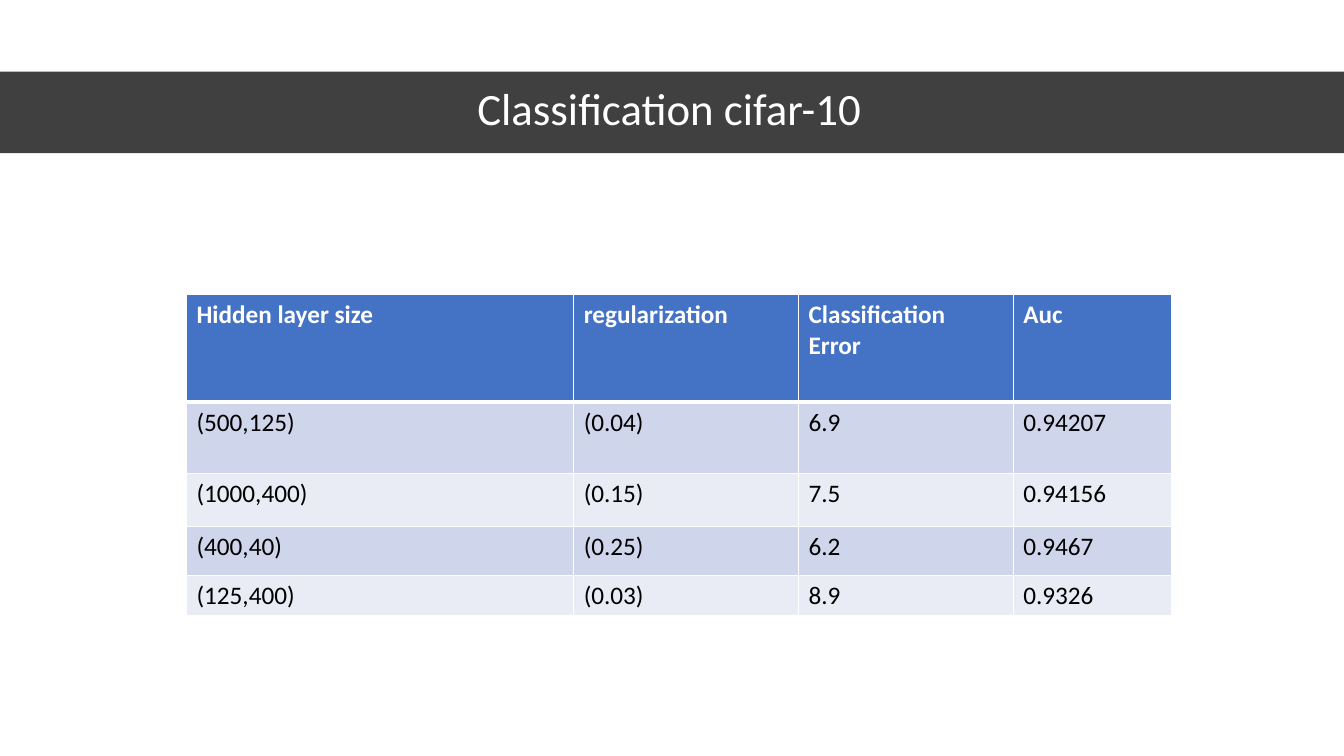
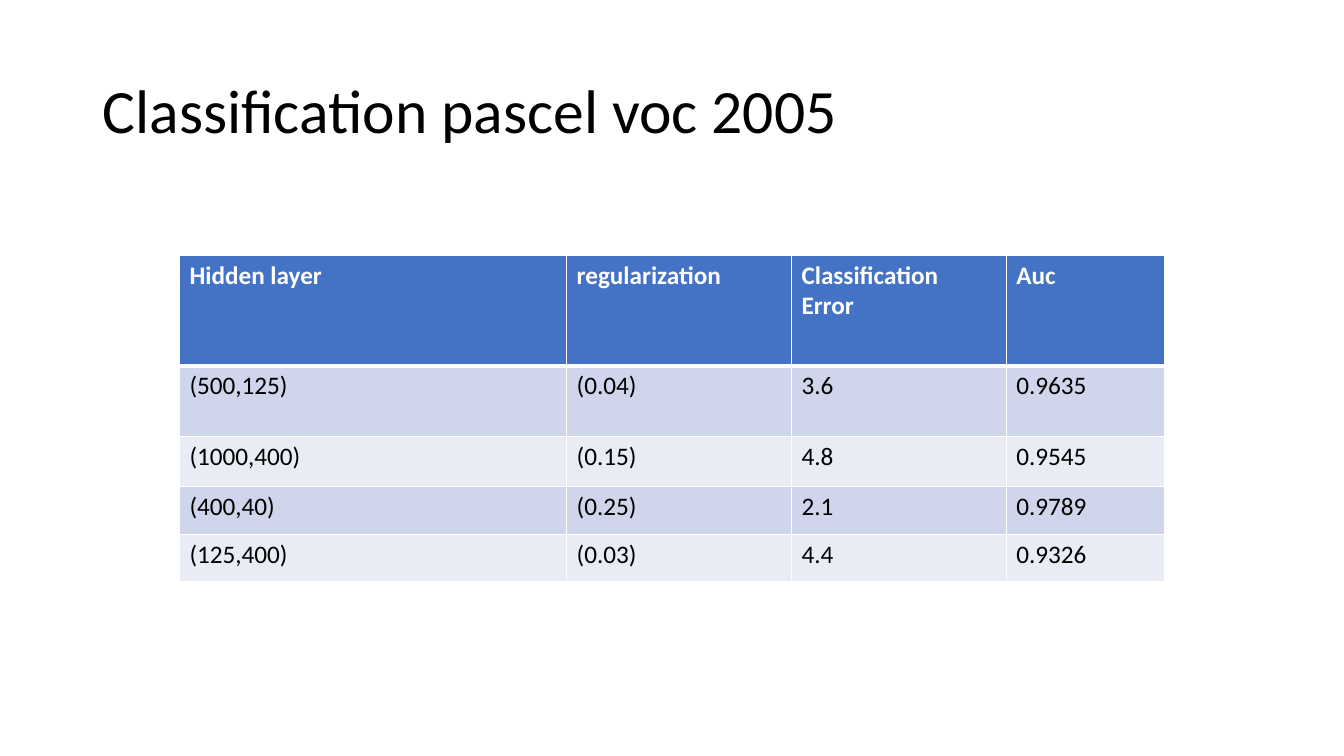
from lxml import etree
from pptx import Presentation
from pptx import util as u
from pptx.dml.color import RGBColor
from pptx.enum import shapes, text
from pptx.oxml import ns

COLORS = {
    "ink": "000000",
    "paper": "FFFFFF",
    "header": "4472C4",
    "odd_row": "CFD5EA",
    "even_row": "E9EBF5",
}
FONT = "Calibri"
COLUMN_WIDTHS = [3.84, 2.23, 2.13, 1.57]
LAYERS = ["(500,125)", "(1000,400)", "(400,40)", "(125,400)"]
REGULARIZATION = ["(0.04)", "(0.15)", "(0.25)", "(0.03)"]


class Deck:
    """Holds the shared style and the slide being built."""

    def __init__(self):
        self.presentation = Presentation()
        self.presentation.slide_width = u.Inches(13.33)
        self.presentation.slide_height = u.Inches(7.5)
        self.slide = None

    def color(self, name):
        return RGBColor.from_string(COLORS[name])

    def new_slide(self):
        self.slide = self.presentation.slides.add_slide(self.presentation.slide_layouts[6])

    def style(self, paragraph, size, color, bold=False):
        font = paragraph.font
        font.name, font.size, font.bold = FONT, u.Pt(size), bold
        font.color.rgb = self.color(color)

    def band(self, top, height, opacity):
        band = self.slide.shapes.add_shape(
            shapes.MSO_SHAPE.RECTANGLE, 0, u.Inches(top),
            self.presentation.slide_width, u.Inches(height))
        band.shadow.inherit = False
        band.line.fill.background()
        band.fill.solid()
        band.fill.fore_color.rgb = self.color("ink")
        tint = band.fill._xPr.find(".//" + ns.qn("a:srgbClr"))
        etree.SubElement(tint, ns.qn("a:alpha"), val=str(opacity * 1000))

    def title(self, wording, box, size, color, align=text.PP_ALIGN.LEFT, right_inset=0.1):
        frame = self.slide.shapes.add_textbox(*map(u.Inches, box)).text_frame
        frame.word_wrap = True
        frame.vertical_anchor = text.MSO_ANCHOR.MIDDLE
        frame.margin_right = u.Inches(right_inset)
        heading = frame.paragraphs[0]
        heading.text = wording
        heading.alignment = align
        heading.line_spacing = 0.9
        self.style(heading, size, color)

    def borders(self, cell, top, bottom):
        properties = cell._tc.get_or_add_tcPr()
        for side, points in (("L", 1), ("R", 1), ("T", top), ("B", bottom)):
            line = etree.SubElement(properties, ns.qn("a:ln" + side), w=str(u.Pt(points)))
            fill = etree.SubElement(line, ns.qn("a:solidFill"))
            etree.SubElement(fill, ns.qn("a:srgbClr"), val=COLORS["paper"])

    def results(self, left, top, row_heights, layer_heading, errors, aucs):
        headings = [layer_heading, "regularization", "Classification\nError", "Auc"]
        rows = [headings, *zip(LAYERS, REGULARIZATION, errors, aucs)]
        table = self.slide.shapes.add_table(
            len(rows), len(headings), u.Inches(left), u.Inches(top),
            u.Inches(sum(COLUMN_WIDTHS)), u.Inches(sum(row_heights))).table
        for column, width in zip(table.columns, COLUMN_WIDTHS):
            column.width = u.Inches(width)
        for index, (values, height) in enumerate(zip(rows, row_heights)):
            table.rows[index].height = u.Inches(height)
            is_header = index == 0
            fill = "header" if is_header else "odd_row" if index % 2 else "even_row"
            for cell, value in zip(table.rows[index].cells, values):
                cell.text = value
                self.borders(cell, 3 if index == 1 else 1, 3 if is_header else 1)
                cell.fill.solid()
                cell.fill.fore_color.rgb = self.color(fill)
                for paragraph in cell.text_frame.paragraphs:
                    self.style(paragraph, 18, "paper" if is_header else "ink", is_header)


deck = Deck()

deck.new_slide()
deck.band(0.71, 0.81, 75)
deck.title("Classification cifar-10", (0.61, 0.7, 12.26, 0.81), 32, "paper",
           text.PP_ALIGN.CENTER, right_inset=0.3)
deck.results(1.85, 2.92, [1.07, 0.71, 0.52, 0.49, 0.4], "Hidden layer size",
             ["6.9", "7.5", "6.2", "8.9"],
             ["0.94207", "0.94156", "0.9467", "0.9326"])

deck.new_slide()
deck.title("Classification pascel voc 2005", (0.92, 0.4, 11.5, 1.45), 44, "ink")
deck.results(1.78, 2.53, [1.1, 0.7, 0.5, 0.47, 0.47], "Hidden layer",
             ["3.6", "4.8", "2.1", "4.4"],
             ["0.9635", "0.9545", "0.9789", "0.9326"])

deck.presentation.save("out.pptx")
